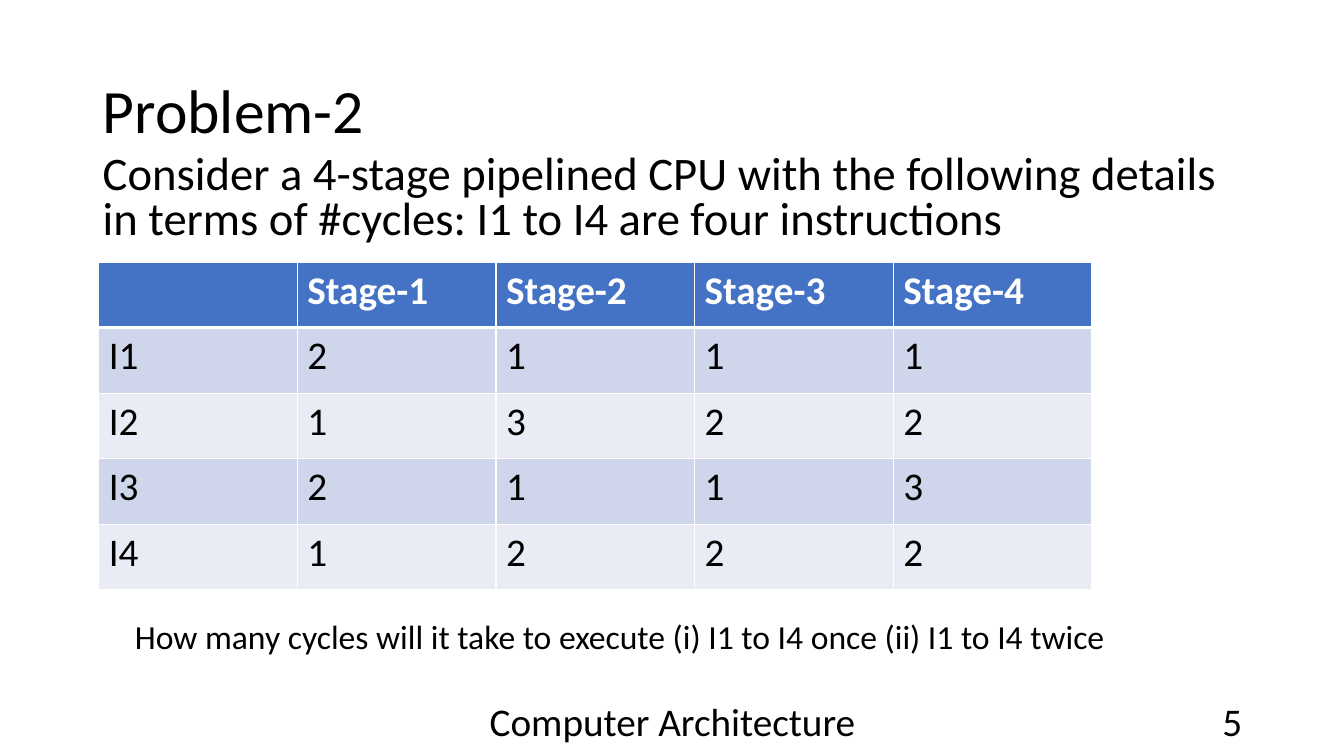
from dataclasses import dataclass

import lxml.etree
import pptx
import pptx.dml.color
import pptx.enum.text
import pptx.oxml.ns
import pptx.presentation
import pptx.slide
import pptx.table
import pptx.text.text
import pptx.util

Inches = pptx.util.Inches
RGBColor = pptx.dml.color.RGBColor
Align = pptx.enum.text.PP_ALIGN
Anchor = pptx.enum.text.MSO_ANCHOR
AutoSize = pptx.enum.text.MSO_AUTO_SIZE

BLACK = RGBColor(0x00, 0x00, 0x00)
WHITE = RGBColor(0xFF, 0xFF, 0xFF)
HEADER_BLUE = RGBColor(0x44, 0x72, 0xC4)
BAND_DARK = RGBColor(0xCF, 0xD5, 0xEA)
BAND_LIGHT = RGBColor(0xE9, 0xEB, 0xF5)
FONT = "Calibri"

COLUMN_WIDTH = 1.97
ROW_HEIGHT = 0.65
CYCLES = [
    ["", "Stage-1", "Stage-2", "Stage-3", "Stage-4"],
    ["I1", "2", "1", "1", "1"],
    ["I2", "1", "3", "2", "2"],
    ["I3", "2", "1", "1", "3"],
    ["I4", "1", "2", "2", "2"],
]


@dataclass
class TextBlock:
    text: str
    left: float
    top: float
    width: float
    height: float
    size: float
    align: Align = Align.LEFT
    anchor: Anchor = Anchor.TOP
    line_spacing: float = 1.0
    space_before: float = 0
    wrap: bool = True


TITLE = TextBlock("Problem-2", 0.92, 0.4, 11.5, 1.45, 44,
                  anchor=Anchor.MIDDLE, line_spacing=0.9)
TEXT_BLOCKS = [
    TextBlock("Consider a 4-stage pipelined CPU with the following details "
              "in terms of #cycles: I1 to I4 are four instructions",
              0.92, 1.49, 11.5, 4.76, 33.3, line_spacing=0.8, space_before=10),
    TextBlock("Computer Architecture", 4.42, 6.95, 4.5, 0.4, 28,
              align=Align.CENTER, anchor=Anchor.MIDDLE),
    TextBlock("5", 9.42, 6.95, 3, 0.4, 28,
              align=Align.RIGHT, anchor=Anchor.MIDDLE),
]
QUESTION = TextBlock("How many cycles will it take to execute "
                     "(i) I1 to I4 once (ii) I1 to I4 twice",
                     1.24, 6.06, 9.89, 0.5, 24, wrap=False)


def add_run(paragraph: pptx.text.text._Paragraph, text: str, size: float,
            color: RGBColor = BLACK, bold: bool = False) -> None:
    run = paragraph.add_run()
    run.text = text
    run.font.name = FONT
    run.font.size = pptx.util.Pt(size)
    run.font.bold = bold
    run.font.color.rgb = color


def fill_text(frame: pptx.text.text.TextFrame, block: TextBlock) -> None:
    frame.auto_size = AutoSize.NONE if block.wrap else AutoSize.SHAPE_TO_FIT_TEXT
    frame.word_wrap = block.wrap
    frame.vertical_anchor = block.anchor
    paragraph = frame.paragraphs[0]
    paragraph.alignment = block.align
    paragraph.line_spacing = block.line_spacing
    paragraph.space_before = pptx.util.Pt(block.space_before)
    add_run(paragraph, block.text, block.size)


def add_title(slide: pptx.slide.Slide, block: TextBlock) -> None:
    title = slide.shapes.title
    title.left, title.top = Inches(block.left), Inches(block.top)
    title.width, title.height = Inches(block.width), Inches(block.height)
    fill_text(title.text_frame, block)


def add_text(slide: pptx.slide.Slide, block: TextBlock) -> None:
    box = slide.shapes.add_textbox(Inches(block.left), Inches(block.top),
                                   Inches(block.width), Inches(block.height))
    fill_text(box.text_frame, block)


def set_borders(cell: pptx.table._Cell, top: float, bottom: float) -> None:
    """Draw white borders, placed ahead of the cell's fill as the schema asks."""
    properties = cell._tc.get_or_add_tcPr()
    qn = pptx.oxml.ns.qn
    widths = {"a:lnL": 1, "a:lnR": 1, "a:lnT": top, "a:lnB": bottom}
    for index, (tag, width) in enumerate(widths.items()):
        line = lxml.etree.Element(qn(tag), w=str(pptx.util.Pt(width)))
        fill = lxml.etree.SubElement(line, qn("a:solidFill"))
        lxml.etree.SubElement(fill, qn("a:srgbClr"), val=str(WHITE))
        properties.insert(index, line)


def add_cycle_table(slide: pptx.slide.Slide) -> None:
    row_count, column_count = len(CYCLES), len(CYCLES[0])
    table = slide.shapes.add_table(
        row_count, column_count, Inches(0.98), Inches(2.6),
        Inches(COLUMN_WIDTH * column_count), Inches(ROW_HEIGHT * row_count)).table
    for column in table.columns:
        column.width = Inches(COLUMN_WIDTH)
    for row_index, values in enumerate(CYCLES):
        table.rows[row_index].height = Inches(ROW_HEIGHT)
        is_header = row_index == 0
        band = BAND_DARK if row_index % 2 else BAND_LIGHT
        for column_index, value in enumerate(values):
            cell = table.cell(row_index, column_index)
            cell.fill.solid()
            cell.fill.fore_color.rgb = HEADER_BLUE if is_header else band
            set_borders(cell, top=3 if row_index == 1 else 1,
                        bottom=3 if is_header else 1)
            if value:
                add_run(cell.text_frame.paragraphs[0], value, 28,
                        WHITE if is_header else BLACK, is_header)


def main() -> None:
    deck = pptx.Presentation()
    deck.slide_width, deck.slide_height = Inches(13.33), Inches(7.5)
    slide = deck.slides.add_slide(deck.slide_layouts.get_by_name("Title Only"))

    # Heading, problem statement and footer
    add_title(slide, TITLE)
    for block in TEXT_BLOCKS:
        add_text(slide, block)

    # Cycles per instruction and stage, then the question about them
    add_cycle_table(slide)
    add_text(slide, QUESTION)

    deck.save("out.pptx")


if __name__ == "__main__":
    main()
